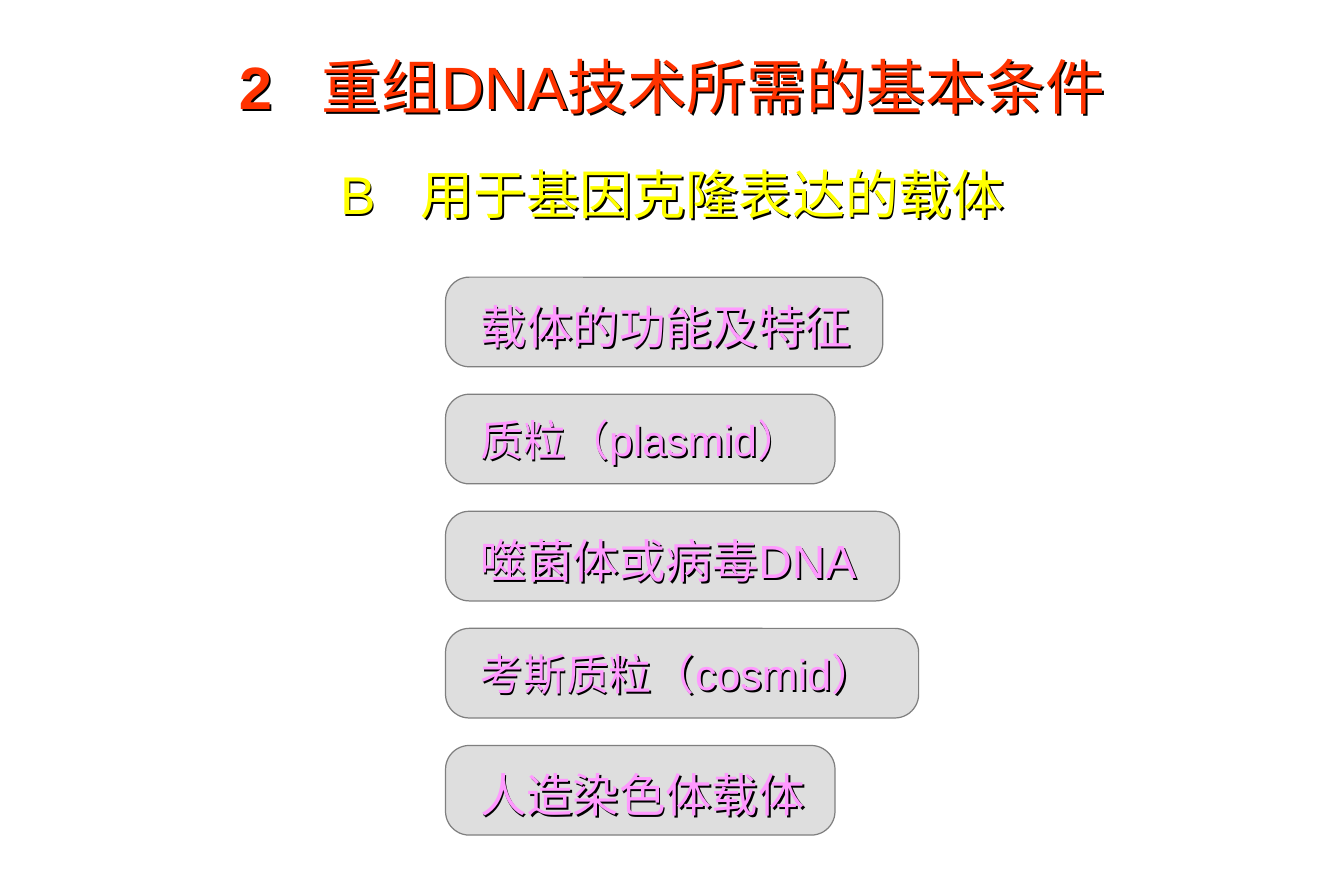
from lxml import etree
from pptx import Presentation
from pptx.dml.color import RGBColor
from pptx.enum import shapes, text
from pptx.oxml.ns import qn
from pptx.util import Inches, Pt

RED = RGBColor(0xFF, 0x33, 0x00)
YELLOW = RGBColor(0xFF, 0xFF, 0x00)
PINK = RGBColor(0xFF, 0x99, 0xFF)
GREY = RGBColor(0x7F, 0x7F, 0x7F)


def add_run(paragraph, words, size, color, font="Arial", bold=False, spacing=0):
    run = paragraph.add_run()
    run.text = words
    run.font.size = Pt(size)
    run.font.bold = bold
    run.font.color.rgb = color
    run.font.name = font
    if spacing:
        run.font._element.set("spc", str(spacing * 100))


def prepare_frame(shape, anchor):
    # Black shadow cast by the letters of an unfilled box
    shape.fill.background()
    effects = etree.SubElement(shape._element.spPr, qn("a:effectLst"))
    shadow = etree.SubElement(effects, qn("a:outerShdw"), dist=str(Pt(1.5)),
                              dir="2700000", algn="ctr", rotWithShape="0")
    etree.SubElement(shadow, qn("a:srgbClr"), val="000000")
    frame = shape.text_frame
    frame.word_wrap = True
    frame.auto_size = text.MSO_AUTO_SIZE.NONE
    frame.vertical_anchor = anchor
    return frame.paragraphs[0]


prs = Presentation()
prs.slide_width, prs.slide_height = Inches(11.25), Inches(7.5)
slide = prs.slides.add_slide(prs.slide_layouts[5])

# Chapter title
title = slide.shapes.title
title.left, title.top = Inches(1.04), Inches(0.34)
title.width, title.height = Inches(9.17), Inches(0.75)
heading = prepare_frame(title, text.MSO_ANCHOR.MIDDLE)
heading.alignment = text.PP_ALIGN.CENTER
add_run(heading, "2", 36, RED, bold=True)
add_run(heading, " ", 36, RED, bold=True, spacing=20)
add_run(heading, "重组DNA技术所需的基本条件", 36, RED)

# Section subtitle
subtitle = slide.shapes.add_textbox(Inches(1.67), Inches(1.3), Inches(7.92), Inches(0.75))
section = prepare_frame(subtitle, text.MSO_ANCHOR.TOP)
section.alignment = text.PP_ALIGN.CENTER
add_run(section, "B", 32, YELLOW)
add_run(section, " ", 32, YELLOW, spacing=18)
add_run(section, "用于基因克隆表达的载体", 32, YELLOW, font="Times New Roman")

# Vector topics: wording, text size, panel width, label width
topics = [
    ("载体的功能及特征", 28, 3.66, 3.46),
    ("质粒（plasmid）", 25.9, 3.26, 3.23),
    ("噬菌体或病毒DNA", 28, 3.8, 3.62),
    ("考斯质粒（cosmid）", 25.9, 3.96, 3.86),
    ("人造染色体载体", 28, 3.26, 3.16),
]
for row, (topic, size, panel_width, label_width) in enumerate(topics):
    top = 2.32 + 0.98 * row

    # Translucent rounded panel
    panel = slide.shapes.add_shape(
        shapes.MSO_SHAPE.ROUNDED_RECTANGLE,
        Inches(3.73), Inches(top), Inches(panel_width), Inches(0.75))
    panel.adjustments[0] = 0.265
    panel.shadow.inherit = False
    panel.fill.solid()
    panel.fill.fore_color.rgb = GREY
    fill_color = panel._element.spPr.find(qn("a:solidFill")).find(qn("a:srgbClr"))
    etree.SubElement(fill_color, qn("a:alpha"), val="25000")
    panel.line.color.rgb = GREY
    panel.line.width = Pt(0.75)

    # Topic label
    label = slide.shapes.add_textbox(
        Inches(3.92), Inches(top - 0.06), Inches(label_width), Inches(0.77))
    line = prepare_frame(label, text.MSO_ANCHOR.TOP)
    line.line_spacing = 1.4
    add_run(line, topic, size, PINK)

prs.save("out.pptx")
